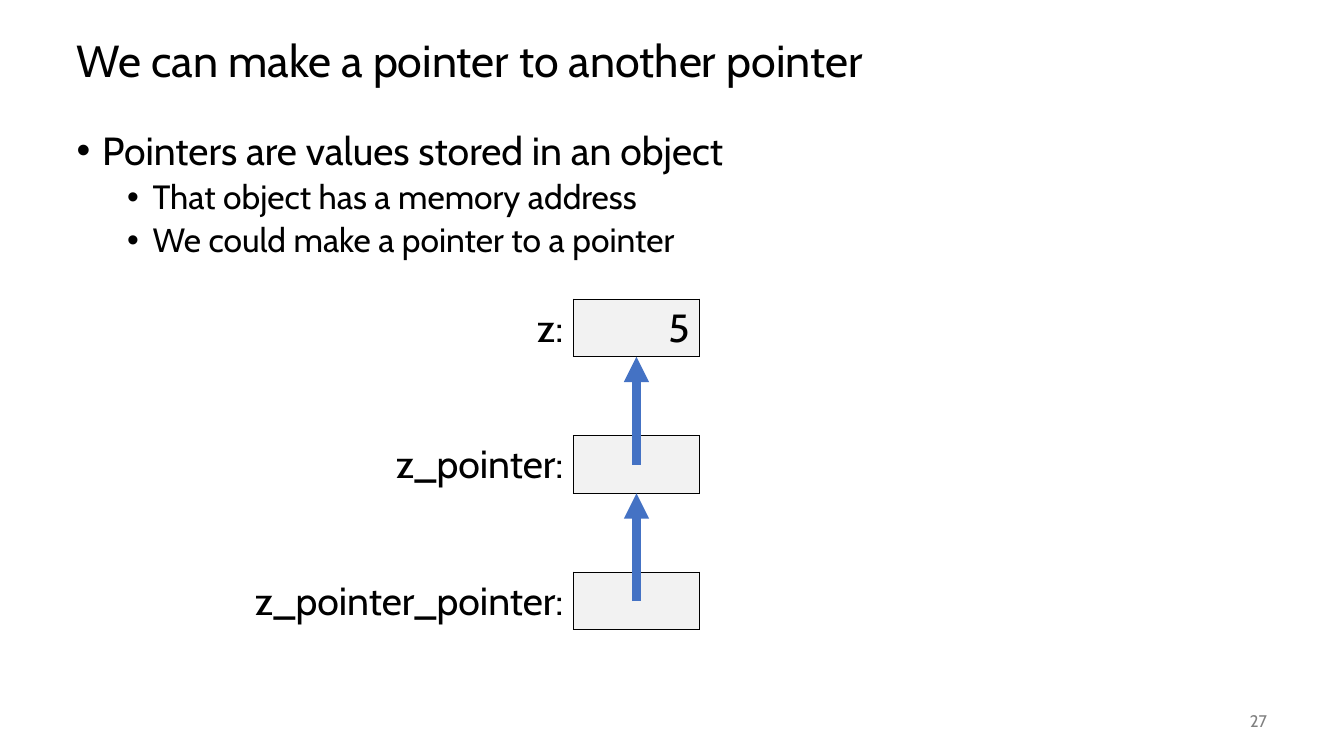
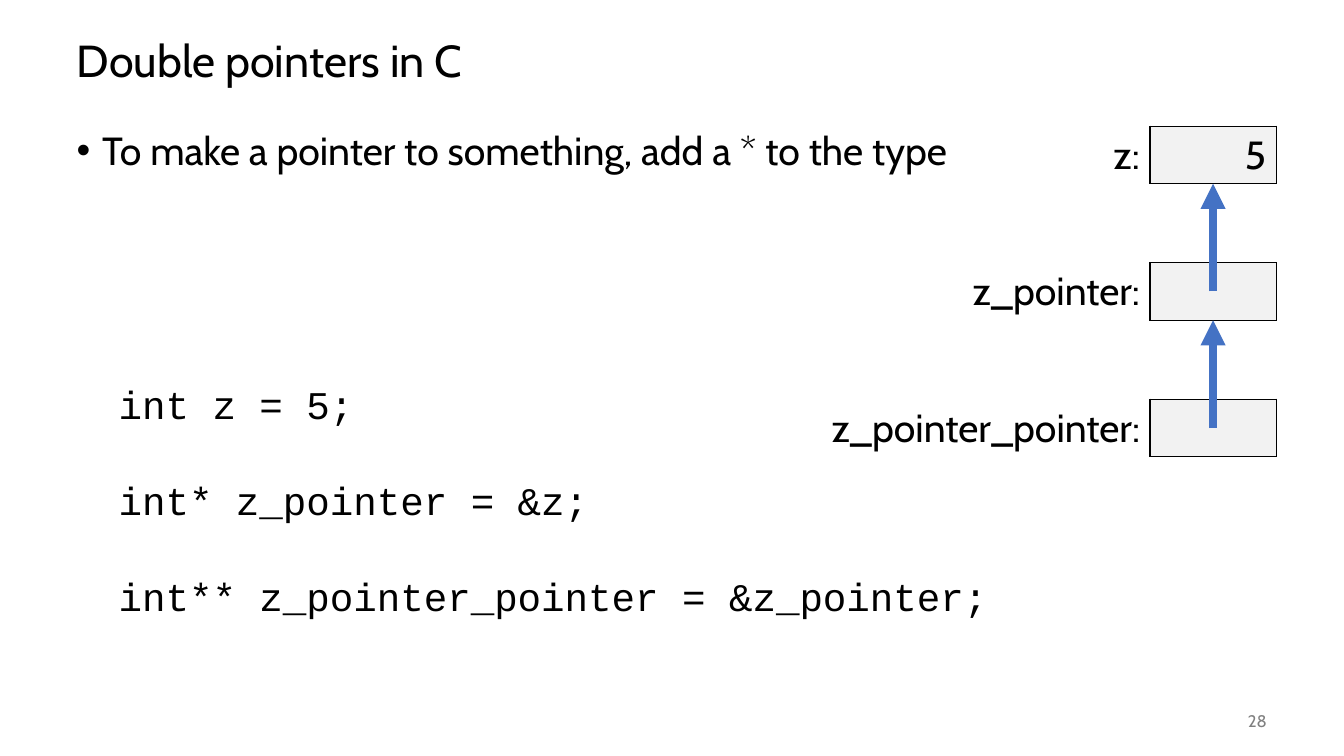
from dataclasses import dataclass

from pptx import Presentation
from pptx.dml.color import RGBColor
from pptx.enum.shapes import MSO_CONNECTOR
from pptx.enum.text import MSO_ANCHOR as ANCHOR, MSO_AUTO_SIZE as AUTO, PP_ALIGN as ALIGN
from pptx.oxml.ns import qn
from pptx.util import Cm, Pt
from lxml.etree import SubElement


@dataclass(frozen=True)
class Theme:
    """Colours, fonts and type sizes of the deck."""
    text: RGBColor = RGBColor(0x00, 0x00, 0x00)
    muted: RGBColor = RGBColor(0x80, 0x80, 0x80)
    cell: RGBColor = RGBColor(0xF2, 0xF2, 0xF2)
    arrow: RGBColor = RGBColor(0x44, 0x72, 0xC4)
    font: str = "Cabin"
    code_font: str = "Courier New"
    title: int = 32
    body: int = 28
    sub: int = 24
    number: int = 12


class Deck:
    """Builds slides in one style and keeps the current slide."""

    LEFT, WIDTH = 1.68, 30.48
    ROW, PITCH, VALUE = 1.45, 3.44, 3.18

    def __init__(self, theme):
        self.theme = theme
        self.prs = Presentation()
        self.prs.slide_width, self.prs.slide_height = Cm(33.87), Cm(19.05)

    def style(self, p, size, color=None, font=None, align=ALIGN.LEFT):
        p.alignment = align
        for r in p.runs:
            r.font.size = Pt(size)
            r.font.name = font or self.theme.font
            r.font.color.rgb = color or self.theme.text

    def place(self, sp, left, top, width, height):
        sp.left, sp.top, sp.width, sp.height = map(Cm, (left, top, width, height))

    def slide(self, title, number):
        self.s = self.prs.slides.add_slide(self.prs.slide_layouts[1])
        sp = self.s.shapes.title
        self.place(sp, self.LEFT, 0.64, self.WIDTH, 1.9)
        tf = sp.text_frame
        tf.text = title
        tf.auto_size, tf.vertical_anchor = AUTO.NONE, ANCHOR.MIDDLE
        tf.paragraphs[0].line_spacing = 0.9
        self.style(tf.paragraphs[0], self.theme.title)
        self.number(number)

    def number(self, number):
        tf = self.textbox(29.64, 17.65, 2.54, 1.02)
        tf.text = str(number)
        tf.vertical_anchor = ANCHOR.MIDDLE
        self.style(tf.paragraphs[0], self.theme.number, self.theme.muted, align=ALIGN.RIGHT)

    def textbox(self, *box):
        tf = self.s.shapes.add_textbox(*map(Cm, box)).text_frame
        tf.word_wrap = True
        return tf

    def bullets(self, items):
        sp = self.s.placeholders[1]
        self.place(sp, self.LEFT, 3.18, self.WIDTH, 13.97)
        tf = sp.text_frame
        tf.text = "\n".join(text for _, text in items)
        tf.auto_size = AUTO.NONE
        for i, (p, (level, _)) in enumerate(zip(tf.paragraphs, items)):
            pPr = p._p.get_or_add_pPr()
            pPr.set("marL", str(Cm(0.64 + 1.27 * level)))
            pPr.set("indent", str(-Cm(0.64)))
            SubElement(pPr, qn("a:buFont")).set("typeface", "Arial")
            SubElement(pPr, qn("a:buChar")).set("char", "•")
            p.level, p.line_spacing = level, 0.9
            p.space_before = Pt((14, 5)[level] if i else 0)
            self.style(p, (self.theme.body, self.theme.sub)[level])

    def code(self, lines, *box):
        tf = self.textbox(*box)
        tf.text = "\n".join(lines)
        for i, p in enumerate(tf.paragraphs):
            p.space_before = Pt(35 if i else 0)
            self.style(p, self.theme.body, font=self.theme.code_font)

    def borders(self, cell, sides):
        tcPr = cell._tc.get_or_add_tcPr()
        for side in "LRTB":
            ln = SubElement(tcPr, qn(f"a:ln{side}"), w=str(Pt(1)))
            if side in sides:
                fill = SubElement(ln, qn("a:solidFill"))
                SubElement(fill, qn("a:srgbClr")).set("val", str(self.theme.text))
            else:
                SubElement(ln, qn("a:noFill"))

    def variable(self, label, value, label_width, right, top):
        width = label_width + self.VALUE
        box = map(Cm, (right - width, top, width, self.ROW))
        table = self.s.shapes.add_table(1, 2, *box).table
        table.first_row = table.horz_banding = False
        table.columns[0].width, table.columns[1].width = Cm(label_width), Cm(self.VALUE)
        for cell, text, sides in zip(table.iter_cells(), (label, value), ("R", "LRTB")):
            self.borders(cell, sides)
            if text:
                cell.text = text
                self.style(cell.text_frame.paragraphs[0], self.theme.body, align=ALIGN.RIGHT)
        name_cell, value_cell = table.iter_cells()
        name_cell.fill.background()
        value_cell.fill.solid()
        value_cell.fill.fore_color.rgb = self.theme.cell

    def arrow(self, x, start, end):
        line = self.s.shapes.add_connector(
            MSO_CONNECTOR.STRAIGHT, Cm(x), Cm(start), Cm(x), Cm(end))
        line.line.color.rgb = self.theme.arrow
        line.line.width = Pt(6)
        SubElement(line.line._get_or_add_ln(), qn("a:tailEnd")).set("type", "triangle")
        SubElement(line._element.spPr, qn("a:effectLst"))

    def pointer_chain(self, right, top):
        variables = [("z:", "5", 3.18), ("z_pointer:", "", 8.3), ("z_pointer_pointer:", "", 9.4)]
        for i, (label, value, label_width) in enumerate(variables):
            y = top + i * self.PITCH
            self.variable(label, value, label_width, right, y)
            if i:
                self.arrow(right - self.VALUE / 2, y + self.ROW / 2, y - self.PITCH + self.ROW)


def main():
    deck = Deck(Theme())

    deck.slide("We can make a pointer to another pointer", 27)
    deck.bullets([
        (0, "Pointers are values stored in an object"),
        (1, "That object has a memory address"),
        (1, "We could make a pointer to a pointer"),
    ])
    deck.pointer_chain(17.63, 7.54)

    deck.slide("Double pointers in C", 28)
    deck.bullets([(0, "To make a pointer to something, add a * to the type")])
    deck.pointer_chain(32.16, 3.18)
    deck.code([
        "int z = 5;",
        "int* z_pointer = &z;",
        "int** z_pointer_pointer = &z_pointer;",
    ], 2.74, 9.45, 23.06, 6.25)

    deck.prs.save("out.pptx")


if __name__ == "__main__":
    main()
